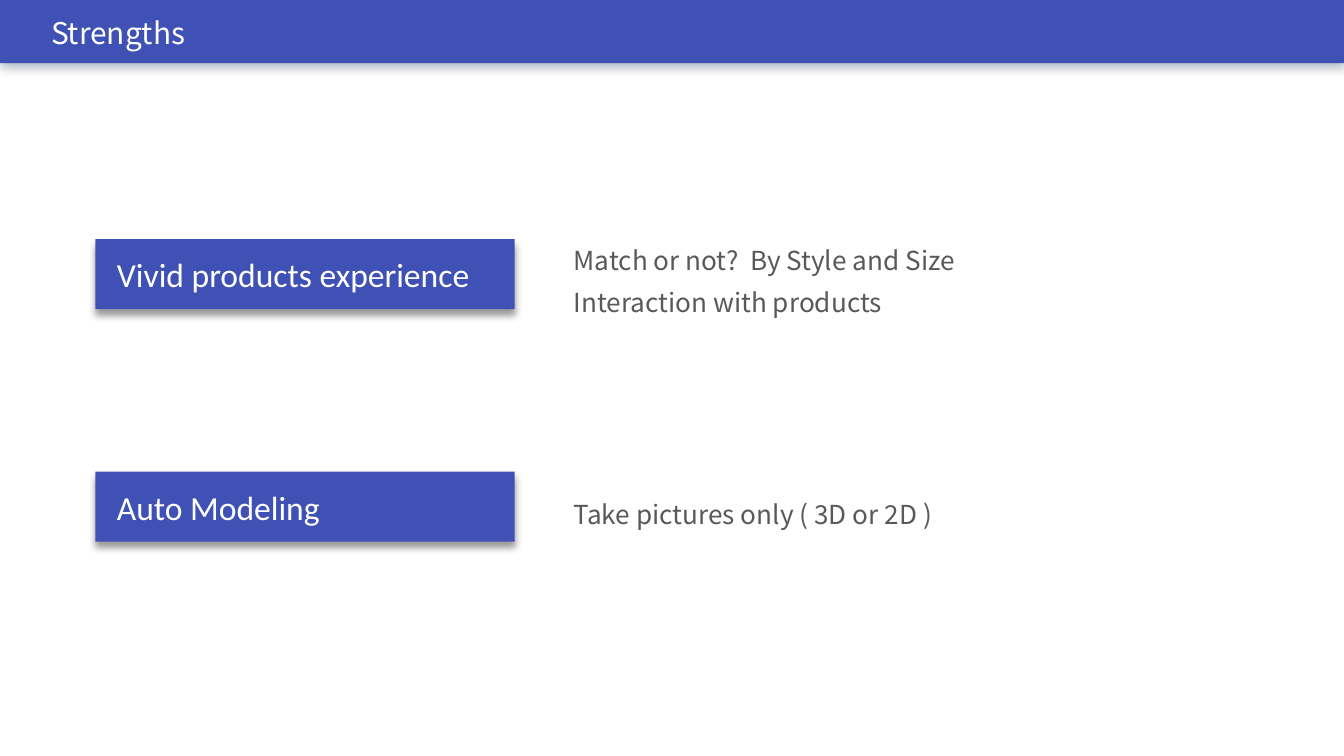
"""Build the Strengths slide: a title bar and two labelled strengths."""
import dataclasses

import lxml.etree
import pptx
import pptx.dml.color
import pptx.enum.shapes
import pptx.enum.text
import pptx.oxml.ns
import pptx.shapes.autoshape
import pptx.slide
import pptx.text.text
import pptx.util

Inches = pptx.util.Inches
COLORS = {"indigo": "3F51B5", "white": "FFFFFF", "gray": "595959",
          "navy": "254061", "black": "000000"}
HEADING_FONT = "Noto Sans CJK SC"
LABEL_FONT = "Calibri"


@dataclasses.dataclass(frozen=True)
class Shadow:
    """A downward shadow, with blur and distance in points."""
    color: str
    blur: float
    distance: float


@dataclasses.dataclass(frozen=True)
class Strength:
    """A label and its detail lines, with tops and height in inches."""
    label: str
    label_top: float
    details: tuple[str, ...]
    details_top: float
    details_height: float


BAR_SHADOW = Shadow("navy", 6, 2)
LABEL_SHADOW = Shadow("black", 4, 3)
STRENGTHS = (
    Strength("Vivid products experience", 1.78,
             ("Match or not?  By Style and Size", "Interaction with products"), 1.72, 0.8),
    Strength("Auto Modeling", 3.51, ("Take pictures only ( 3D or 2D )",), 3.61, 0.5),
)


def rgb(name: str) -> pptx.dml.color.RGBColor:
    """Look up a named color."""
    return pptx.dml.color.RGBColor.from_string(COLORS[name])


def add_run(p: pptx.text.text._Paragraph, text: str, font: str, size: float, color: str) -> None:
    """Add one formatted run to a paragraph."""
    r = p.add_run()
    r.text = text
    r.font.name = font
    r.font.size = pptx.util.Pt(size)
    r.font.color.rgb = rgb(color)


def add_panel(s: pptx.slide.Slide, left: float, top: float, width: float, height: float,
              shadow: Shadow) -> pptx.shapes.autoshape.Shape:
    """Draw an indigo rectangle with a shadow below it."""
    sp = s.shapes.add_shape(pptx.enum.shapes.MSO_SHAPE.RECTANGLE, Inches(left), Inches(top),
                            Inches(width), Inches(height))
    sp.fill.solid()
    sp.fill.fore_color.rgb = rgb("indigo")
    sp.line.fill.background()
    sp.shadow.inherit = False
    qn = pptx.oxml.ns.qn
    effects = sp._element.spPr.find(qn("a:effectLst"))
    outer = lxml.etree.SubElement(
        effects, qn("a:outerShdw"), blurRad=str(pptx.util.Pt(shadow.blur)),
        dist=str(pptx.util.Pt(shadow.distance)), dir="5400000", algn="t", rotWithShape="0")
    tint = lxml.etree.SubElement(outer, qn("a:srgbClr"), val=COLORS[shadow.color])
    lxml.etree.SubElement(tint, qn("a:alpha"), val="40000")
    return sp


def add_title(s: pptx.slide.Slide, text: str) -> None:
    """Draw the title bar and set the title on it."""
    sp = s.shapes.title
    sp.left, sp.top, sp.width, sp.height = Inches(0.28), Inches(0.09), Inches(9.22), Inches(0.3)
    tf = sp.text_frame
    tf.vertical_anchor = pptx.enum.text.MSO_ANCHOR.MIDDLE
    tf.auto_size = pptx.enum.text.MSO_AUTO_SIZE.NONE
    p = tf.paragraphs[0]
    p.alignment = pptx.enum.text.PP_ALIGN.LEFT
    add_run(p, text, HEADING_FONT, 16, "white")
    bar = add_panel(s, 0, 0, 10, 0.47, BAR_SHADOW)
    sp._element.addprevious(bar._element)


def add_strength(s: pptx.slide.Slide, strength: Strength) -> None:
    """Draw a label panel with its details to the right."""
    tf = add_panel(s, 0.71, strength.label_top, 3.12, 0.52, LABEL_SHADOW).text_frame
    tf.vertical_anchor = pptx.enum.text.MSO_ANCHOR.MIDDLE
    tf.margin_left = Inches(0.16)
    p = tf.paragraphs[0]
    p.alignment = pptx.enum.text.PP_ALIGN.LEFT
    add_run(p, strength.label, LABEL_FONT, 18, "white")

    sp = s.shapes.add_textbox(Inches(4.17), Inches(strength.details_top), Inches(4.46),
                              Inches(strength.details_height))
    tf = sp.text_frame
    tf.word_wrap = True
    for i, detail in enumerate(strength.details):
        p = tf.add_paragraph() if i else tf.paragraphs[0]
        p.line_spacing = 1.2
        if i:
            p.space_before = pptx.util.Pt(2.8)
        add_run(p, detail, HEADING_FONT, 14, "gray")


def main() -> None:
    """Build and save the slide."""
    prs = pptx.Presentation()
    prs.slide_width = Inches(10)
    prs.slide_height = prs.slide_width * 9 // 16
    s = prs.slides.add_slide(prs.slide_layouts.get_by_name("Title Only"))
    add_title(s, "Strengths")
    for strength in STRENGTHS:
        add_strength(s, strength)
    prs.save("out.pptx")


if __name__ == "__main__":
    main()
